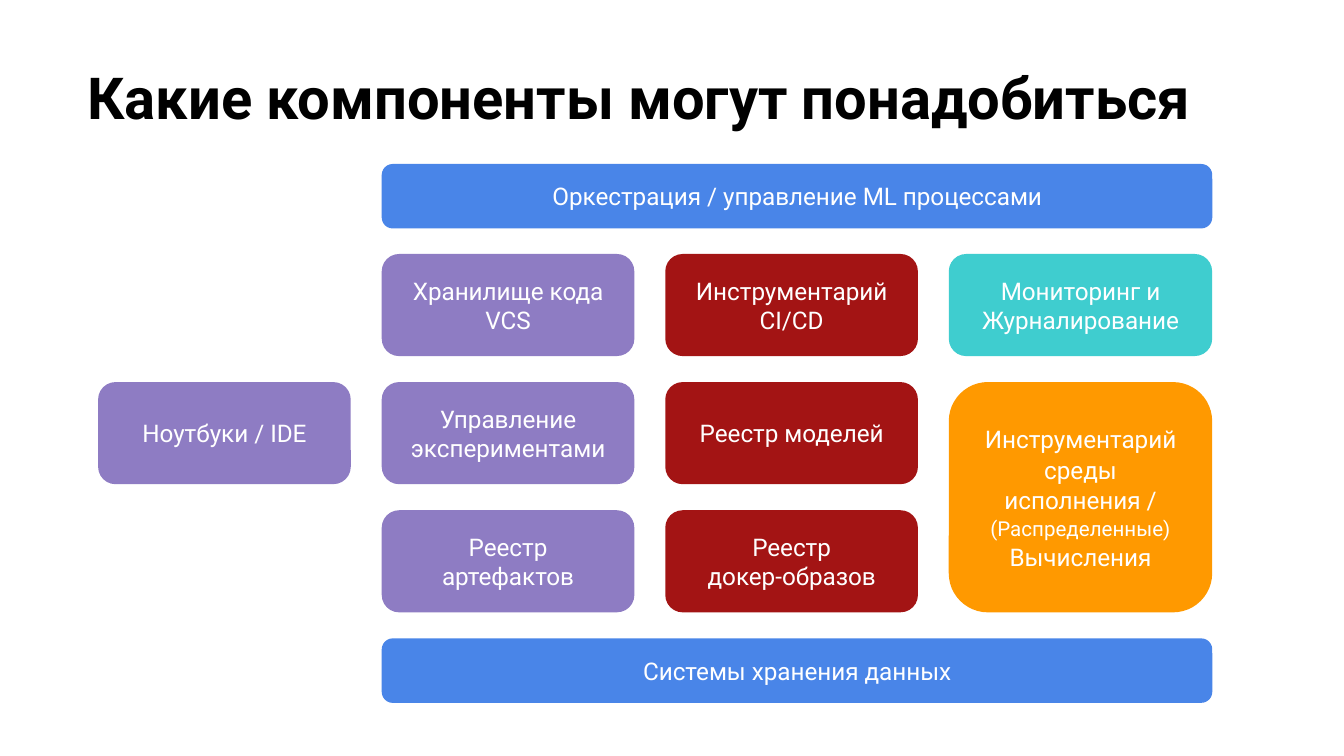
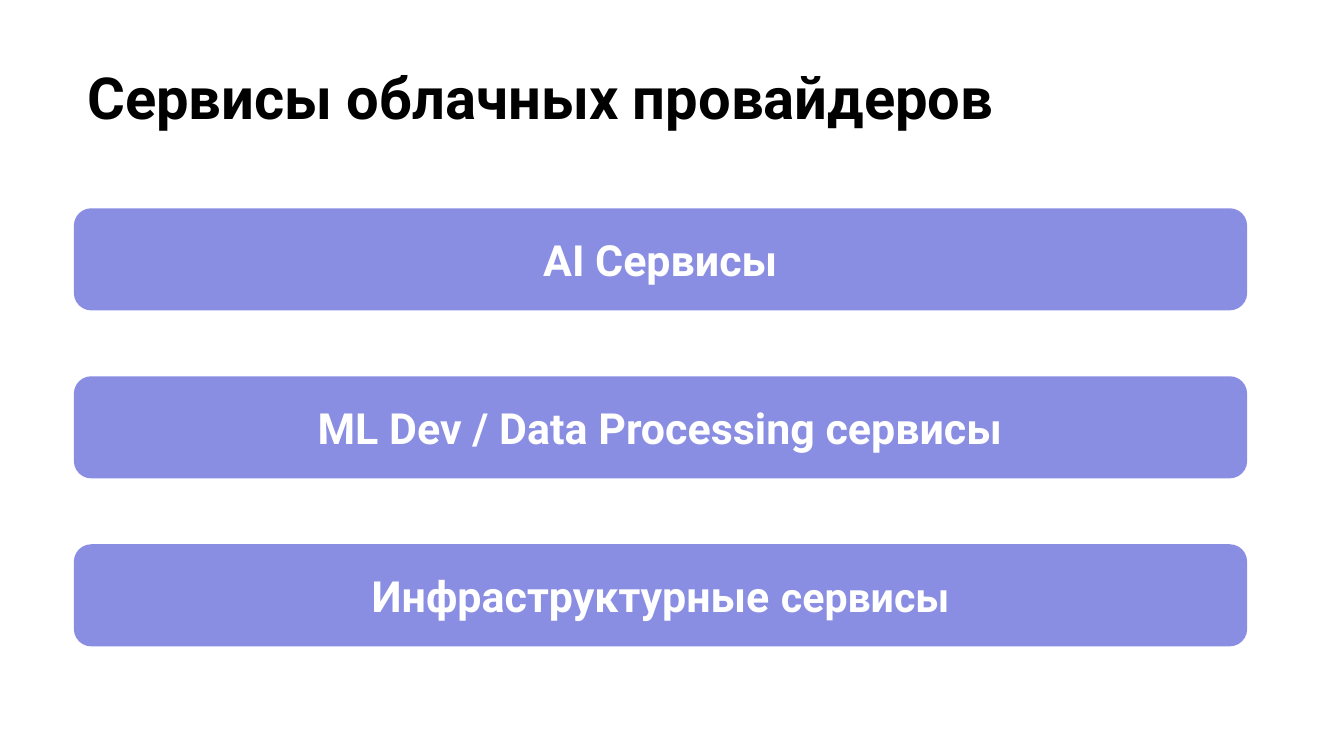
from dataclasses import dataclass

from pptx import Presentation
from pptx.dml.color import RGBColor
from pptx.enum.shapes import MSO_SHAPE
from pptx.enum.text import MSO_ANCHOR, PP_ALIGN
from pptx.util import Inches, Pt


@dataclass(frozen=True)
class Theme:
    font: str = "Roboto"
    ink: str = "000000"
    light: str = "FFFFFF"
    blue: str = "4985E8"
    purple: str = "8E7CC3"
    red: str = "A31414"
    teal: str = "3FCDCF"
    orange: str = "FF9900"
    lilac: str = "8A8EE2"
    title: int = 31
    band: int = 23
    band_small: int = 22
    label: int = 13
    label_small: int = 11
    corner: float = 0.17


T = Theme()

COMPONENTS_TITLE = "Какие компоненты могут понадобиться"
ORCHESTRATION = "Оркестрация / управление ML процессами"
STORAGE = "Системы хранения данных"
COMPONENTS = [
    (0, 1, 1, T.purple, ["Ноутбуки / IDE"]),
    (1, 0, 1, T.purple, ["Хранилище кода", "VCS"]),
    (1, 1, 1, T.purple, ["Управление", "экспериментами"]),
    (1, 2, 1, T.purple, ["Реестр", "артефактов"]),
    (2, 0, 1, T.red, ["Инструментарий", "CI/CD"]),
    (2, 1, 1, T.red, ["Реестр моделей"]),
    (2, 2, 1, T.red, ["Реестр", "докер-образов"]),
    (3, 0, 1, T.teal, ["Мониторинг и", "Журналирование"]),
    (3, 1, 2, T.orange, ["Инструментарий", "среды", "исполнения /",
                         ("(Распределенные)", T.label_small), "Вычисления"]),
]

SERVICES_TITLE = "Сервисы облачных провайдеров"
SERVICES = [
    [("AI Сервисы", T.band)],
    [("ML Dev / Data Processing сервисы", T.band)],
    [("Инфраструктурные ", T.band), ("сервисы", T.band_small)],
]

LEFT, COL_W, COL_GAP, LAST_W = 0.73, 1.88, 0.23, 1.96
BAR_TOP, BAR_H, BOX_H = 1.22, 0.48, 0.76
ROWS_TOP, ROWS_END, ROWS = 1.89, 4.75, 3
ROW_PITCH = (ROWS_END - ROWS_TOP) / ROWS
BAND_LEFT, BAND_TOP, BAND_W, BAND_PITCH = 0.55, 1.55, 8.73, 1.25


def add_run(p, text, size, color, bold=False):
    r = p.add_run()
    r.text = text
    r.font.name = T.font
    r.font.size = Pt(size)
    r.font.bold = bold
    r.font.color.rgb = RGBColor.from_string(color)


def add_slide(prs, title):
    s = prs.slides.add_slide(prs.slide_layouts[5])
    sp = s.shapes.title
    sp.left, sp.top, sp.width, sp.height = map(Inches, (0.55, 0.36, 9.32, 1.2))
    tf = sp.text_frame
    tf.word_wrap = True
    tf.vertical_anchor = MSO_ANCHOR.TOP
    tf.margin_left = tf.margin_right = tf.margin_top = tf.margin_bottom = Inches(0.1)
    p = tf.paragraphs[0]
    p.alignment = PP_ALIGN.LEFT
    add_run(p, title, T.title, T.ink, bold=True)
    return s


def add_box(s, x, y, w, h, fill, lines, bold=False, spacing=1.0):
    sp = s.shapes.add_shape(MSO_SHAPE.ROUNDED_RECTANGLE, *map(Inches, (x, y, w, h)))
    sp.adjustments[0] = T.corner
    sp.shadow.inherit = False
    sp.fill.solid()
    sp.fill.fore_color.rgb = RGBColor.from_string(fill)
    sp.line.fill.background()
    tf = sp.text_frame
    tf.word_wrap = True
    tf.vertical_anchor = MSO_ANCHOR.MIDDLE
    tf.margin_left = tf.margin_right = tf.margin_top = tf.margin_bottom = 0
    p = tf.paragraphs[0]
    p.alignment = PP_ALIGN.CENTER
    p.line_spacing = spacing
    for i, runs in enumerate(lines):
        if i:
            p.add_line_break()
        for text, size in runs:
            add_run(p, text, size, T.light, bold)


def col_x(col):
    return LEFT + col * (COL_W + COL_GAP)


def build_components(prs):
    s = add_slide(prs, COMPONENTS_TITLE)
    bar_w = col_x(3) + LAST_W - col_x(1)
    for y, text in ((BAR_TOP, ORCHESTRATION), (ROWS_END, STORAGE)):
        add_box(s, col_x(1), y, bar_w, BAR_H, T.blue, [[(text, T.label)]])
    for col, row, span, fill, texts in COMPONENTS:
        w = LAST_W if col == 3 else COL_W
        h = BOX_H + (span - 1) * ROW_PITCH
        lines = [[t if isinstance(t, tuple) else (t, T.label)] for t in texts]
        add_box(s, col_x(col), ROWS_TOP + row * ROW_PITCH, w, h, fill, lines,
                spacing=1.05 if span > 1 else 1.01)


def build_services(prs):
    s = add_slide(prs, SERVICES_TITLE)
    for i, runs in enumerate(SERVICES):
        add_box(s, BAND_LEFT, BAND_TOP + i * BAND_PITCH, BAND_W, BOX_H,
                T.lilac, [runs], bold=True)


def main():
    prs = Presentation()
    prs.slide_width = Inches(10)
    prs.slide_height = prs.slide_width * 9 // 16
    build_components(prs)
    build_services(prs)
    prs.save("out.pptx")


if __name__ == "__main__":
    main()
